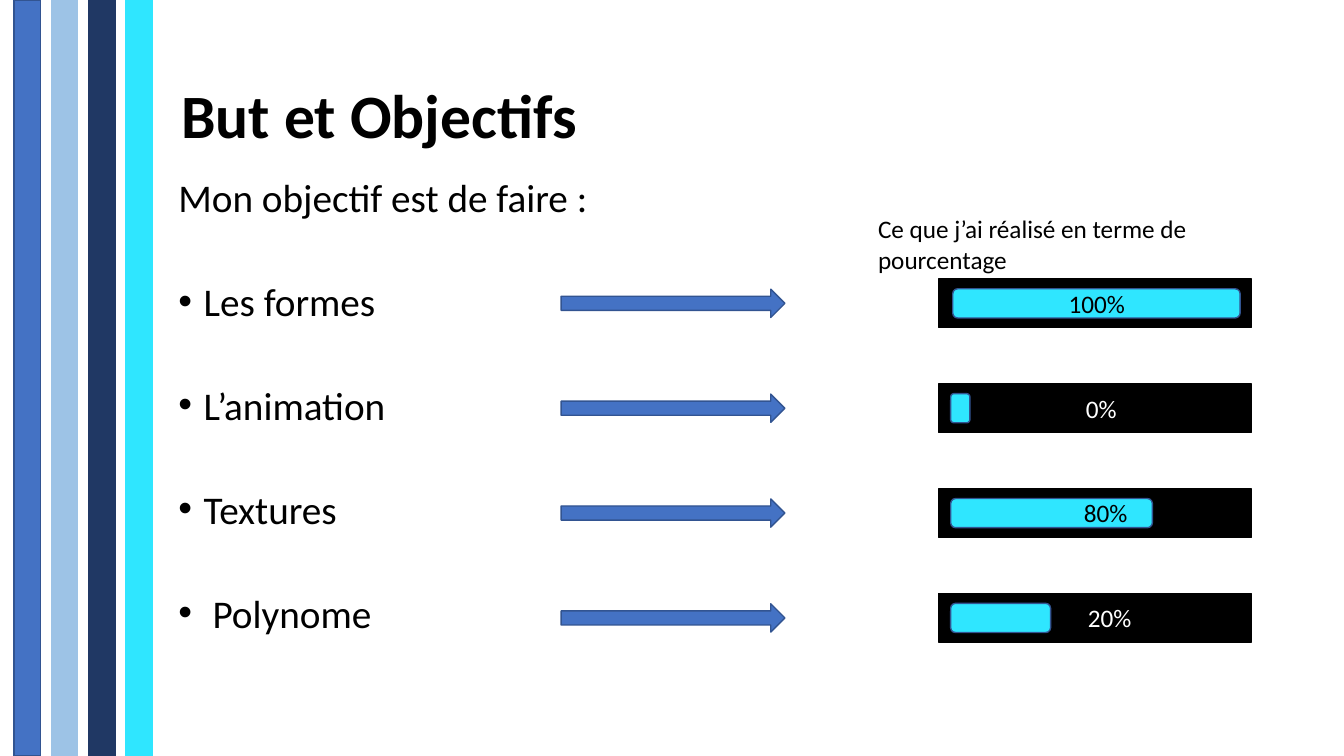
import pptx
import pptx.util
import pptx.dml.color
import pptx.enum.shapes
import pptx.enum.text
import pptx.oxml.ns
import lxml.etree

RGB = pptx.dml.color.RGBColor
MSO = pptx.enum.shapes.MSO_SHAPE
ANCHOR = pptx.enum.text.MSO_ANCHOR
ALIGN = pptx.enum.text.PP_ALIGN

BLACK = RGB(0x00, 0x00, 0x00)
WHITE = RGB(0xFF, 0xFF, 0xFF)
BLUE = RGB(0x44, 0x72, 0xC4)
OUTLINE = RGB(0x32, 0x54, 0x91)
PALE = RGB(0x9D, 0xC3, 0xE6)
NAVY = RGB(0x20, 0x38, 0x64)
CYAN = RGB(0x2F, 0xE6, 0xFF)

# Goal, bar left and width, label, label left, label colour
GOALS = [
    ("Les formes", 70.89, 21.38, "100%", 78.77, BLACK),
    ("L’animation", 70.74, 1.43, "0%", 80.05, WHITE),
    ("Textures", 70.74, 15, "80%", 79.9, BLACK),
    (" Polynome", 70.74, 7.43, "20%", 80.2, WHITE),
]
FIRST_ROW, ROW_PITCH = 40.13, 13.87
FIRST_STRIPE, STRIPE_PITCH = 1.05, 2.78


def write(p, text, size=18, color=BLACK, bold=False, spacing=None, before=0):
    p.alignment = ALIGN.LEFT
    p.space_before = pptx.util.Pt(before)
    if spacing:
        p.line_spacing = spacing
    r = p.add_run()
    r.text = text
    r.font.name = "Calibri"
    r.font.size = pptx.util.Pt(size)
    r.font.bold = bold
    r.font.color.rgb = color


def set_bullet(p, char=None):
    """Give the paragraph a hanging bullet, or none without a character."""
    pPr = p._p.get_or_add_pPr()
    indent = pptx.util.Inches(0.25) if char else 0
    pPr.set("marL", str(indent))
    pPr.set("indent", str(-indent))
    tag = "a:buChar" if char else "a:buNone"
    bu = lxml.etree.SubElement(pPr, pptx.oxml.ns.qn(tag))
    if char:
        bu.set("char", char)


class Deck:
    """Holds the current slide; lengths are percentages of its size."""

    def __init__(self):
        self.prs = pptx.Presentation()
        self.prs.slide_width = pptx.util.Inches(13.33)
        self.prs.slide_height = pptx.util.Inches(7.5)
        self.s = self.prs.slides.add_slide(self.prs.slide_layouts[1])

    def box(self, x, y, w, h):
        width, height = self.prs.slide_width, self.prs.slide_height
        return [int(share * full / 100) for share, full in
                ((x, width), (y, height), (w, width), (h, height))]

    def placeholder(self, idx, *area, anchor):
        sp = self.s.placeholders[idx]
        sp.left, sp.top, sp.width, sp.height = self.box(*area)
        tf = sp.text_frame
        tf.auto_size = pptx.enum.text.MSO_AUTO_SIZE.NONE
        tf.vertical_anchor = anchor
        return tf

    def title(self, text, *area):
        tf = self.placeholder(0, *area, anchor=ANCHOR.MIDDLE)
        write(tf.paragraphs[0], text, size=44, bold=True, spacing=0.9)

    def goal_list(self, intro, goals, *area):
        tf = self.placeholder(1, *area, anchor=ANCHOR.TOP)
        p = tf.paragraphs[0]
        write(p, intro, size=28, spacing=0.8, before=10)
        set_bullet(p)
        for goal in goals:
            p = tf.add_paragraph()
            write(p, goal, size=28, spacing=0.8, before=47.3)
            set_bullet(p, "•")

    def shape(self, kind, *area, fill, line=None):
        sp = self.s.shapes.add_shape(kind, *self.box(*area))
        sp.shadow.inherit = False
        sp.fill.solid()
        sp.fill.fore_color.rgb = fill
        sp.line.color.rgb = line or fill
        sp.line.width = pptx.util.Pt(1)

    def text(self, text, *area, **style):
        tf = self.s.shapes.add_textbox(*self.box(*area)).text_frame
        tf.word_wrap = True
        write(tf.paragraphs[0], text, **style)

    def progress_row(self, middle, left, width, label, label_left, color):
        """Draw an arrow and a labelled progress bar centred on a height."""
        self.shape(MSO.RIGHT_ARROW, 41.75, middle - 1.87, 16.65, 3.74,
                   fill=BLUE, line=OUTLINE)
        self.shape(MSO.RECTANGLE, 69.84, middle - 3.2, 23.26, 6.4, fill=BLACK)
        self.shape(MSO.ROUNDED_RECTANGLE, left, middle - 1.93, width, 3.86,
                   fill=CYAN, line=OUTLINE)
        self.text(label, label_left, middle - 2.7, 7.05, 5.4, color=color)


def main():
    deck = Deck()
    deck.title("But et Objectifs", 12.75, 6, 86.27, 19.33)
    stripes = [(BLUE, OUTLINE), (PALE, PALE), (NAVY, NAVY), (CYAN, CYAN)]
    for i, (fill, line) in enumerate(stripes):
        deck.shape(MSO.RECTANGLE, FIRST_STRIPE + i * STRIPE_PITCH, 0, 1.95, 100,
                   fill=fill, line=line)
    deck.goal_list("Mon objectif est de faire :", [goal[0] for goal in GOALS],
                   12.53, 23.47, 73.22, 63.47)
    for i, (_, *progress) in enumerate(GOALS):
        deck.progress_row(FIRST_ROW + i * ROW_PITCH, *progress)
    deck.text("Ce que j’ai réalisé en terme de pourcentage",
              64.59, 27.6, 33.75, 5.33)
    deck.prs.save("out.pptx")


if __name__ == "__main__":
    main()
